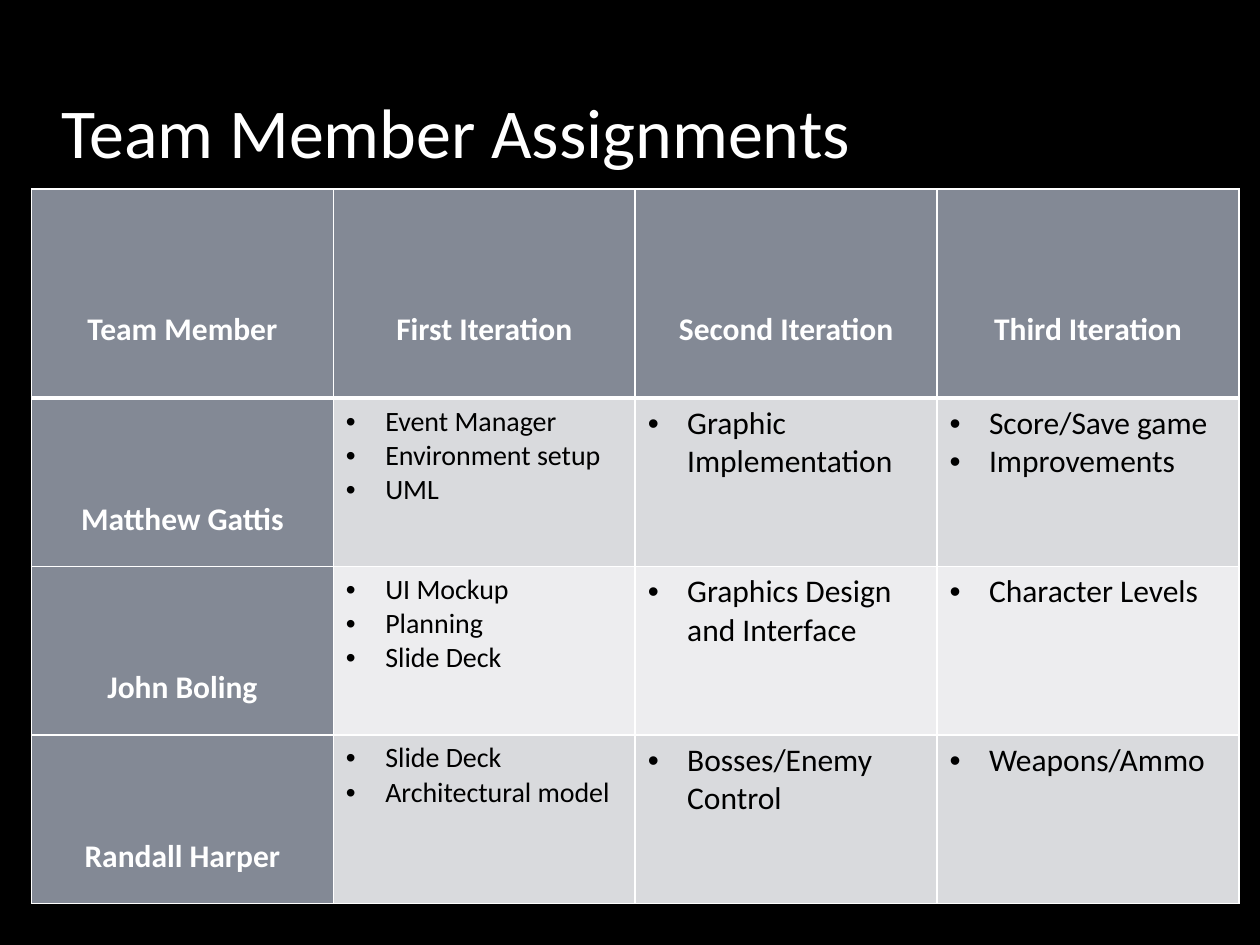
from lxml import etree
from pptx import Presentation
from pptx.dml.color import RGBColor
from pptx.enum.text import MSO_ANCHOR, MSO_AUTO_SIZE, PP_ALIGN
from pptx.oxml.ns import qn
from pptx.util import Pt

CENTER, LEFT = PP_ALIGN.CENTER, PP_ALIGN.LEFT
BLACK, WHITE, SLATE = "000000", "FFFFFF", "838995"
BANDS = ["D9DADD", "EDEDEF"]
FONT = "Calibri"

TITLE = "Team Member Assignments"
HEADINGS = ["Team Member", "First Iteration", "Second Iteration", "Third Iteration"]
ASSIGNMENTS = [
    ("Matthew Gattis",
     ["Event Manager", "Environment setup", "UML"],
     ["Graphic Implementation"],
     ["Score/Save game", "Improvements"]),
    ("John Boling",
     ["UI Mockup", "Planning", "Slide Deck"],
     ["Graphics Design and Interface"],
     ["Character Levels"]),
    ("Randall Harper",
     ["Slide Deck", "Architectural model"],
     ["Bosses/Enemy Control"],
     ["Weapons/Ammo"]),
]
TASK_SIZES = [16, 18, 18]

TABLE_LEFT, TABLE_TOP = 18, 108
COLUMN_WIDTH, HEADER_HEIGHT, MEMBER_HEIGHT = 172.5, 119.5, 96.25
BULLET_INDENT = 22.5


def rgb(color):
    return RGBColor.from_string(color)


def write(frame, lines, size=18, color=WHITE, bold=False, align=LEFT,
          spacing=None, before=None, bullet=False):
    for i, line in enumerate(lines):
        paragraph = frame.add_paragraph() if i else frame.paragraphs[0]
        paragraph.alignment = align
        if spacing:
            paragraph.line_spacing = spacing
        if before is not None:
            paragraph.space_before = Pt(before)
        if bullet:
            properties = paragraph._p.get_or_add_pPr()
            properties.set("marL", str(Pt(BULLET_INDENT)))
            properties.set("indent", str(-Pt(BULLET_INDENT)))
            etree.SubElement(properties, qn("a:buFont"), typeface="Arial")
            etree.SubElement(properties, qn("a:buChar"), char="•")
        run = paragraph.add_run()
        run.text = line
        run.font.name = FONT
        run.font.size = Pt(size)
        run.font.bold = bold
        run.font.color.rgb = rgb(color)


def style_cell(cell, fill, top=1, bottom=1):
    """Draw white borders of the given widths, then fill the cell."""
    properties = cell._tc.get_or_add_tcPr()
    for side, width in (("L", 1), ("R", 1), ("T", top), ("B", bottom)):
        border = etree.SubElement(properties, qn(f"a:ln{side}"), w=str(Pt(width)))
        paint = etree.SubElement(border, qn("a:solidFill"))
        etree.SubElement(paint, qn("a:srgbClr"), val=WHITE)
    cell.fill.solid()
    cell.fill.fore_color.rgb = rgb(fill)


prs = Presentation()
prs.slide_width, prs.slide_height = Pt(720), Pt(540)
slide = prs.slides.add_slide(prs.slide_layouts[5])
slide.background.fill.solid()
slide.background.fill.fore_color.rgb = rgb(BLACK)

title = slide.shapes.title
title.left, title.top, title.width, title.height = Pt(28), Pt(18), Pt(605), Pt(84)
title.text_frame.vertical_anchor = MSO_ANCHOR.BOTTOM
title.text_frame.auto_size = MSO_AUTO_SIZE.NONE
write(title.text_frame, [TITLE], size=40, before=4)

heights = [HEADER_HEIGHT] + [MEMBER_HEIGHT] * len(ASSIGNMENTS)
table = slide.shapes.add_table(
    len(heights), len(HEADINGS), Pt(TABLE_LEFT), Pt(TABLE_TOP),
    Pt(COLUMN_WIDTH * len(HEADINGS)), Pt(sum(heights))).table
for column in table.columns:
    column.width = Pt(COLUMN_WIDTH)
for row, height in zip(table.rows, heights):
    row.height = Pt(height)

for c, heading in enumerate(HEADINGS):
    cell = table.cell(0, c)
    style_cell(cell, SLATE, bottom=3)
    write(cell.text_frame, [heading], bold=True, align=CENTER, spacing=4.0)

for r, (member, *iterations) in enumerate(ASSIGNMENTS, start=1):
    top = 3 if r == 1 else 1
    cell = table.cell(r, 0)
    style_cell(cell, SLATE, top=top)
    write(cell.text_frame, [member], bold=True, align=CENTER, spacing=3.5)
    for c, (tasks, size) in enumerate(zip(iterations, TASK_SIZES), start=1):
        cell = table.cell(r, c)
        style_cell(cell, BANDS[(r - 1) % 2], top=top)
        write(cell.text_frame, tasks, size=size, color=BLACK, bullet=True)

prs.save("out.pptx")
